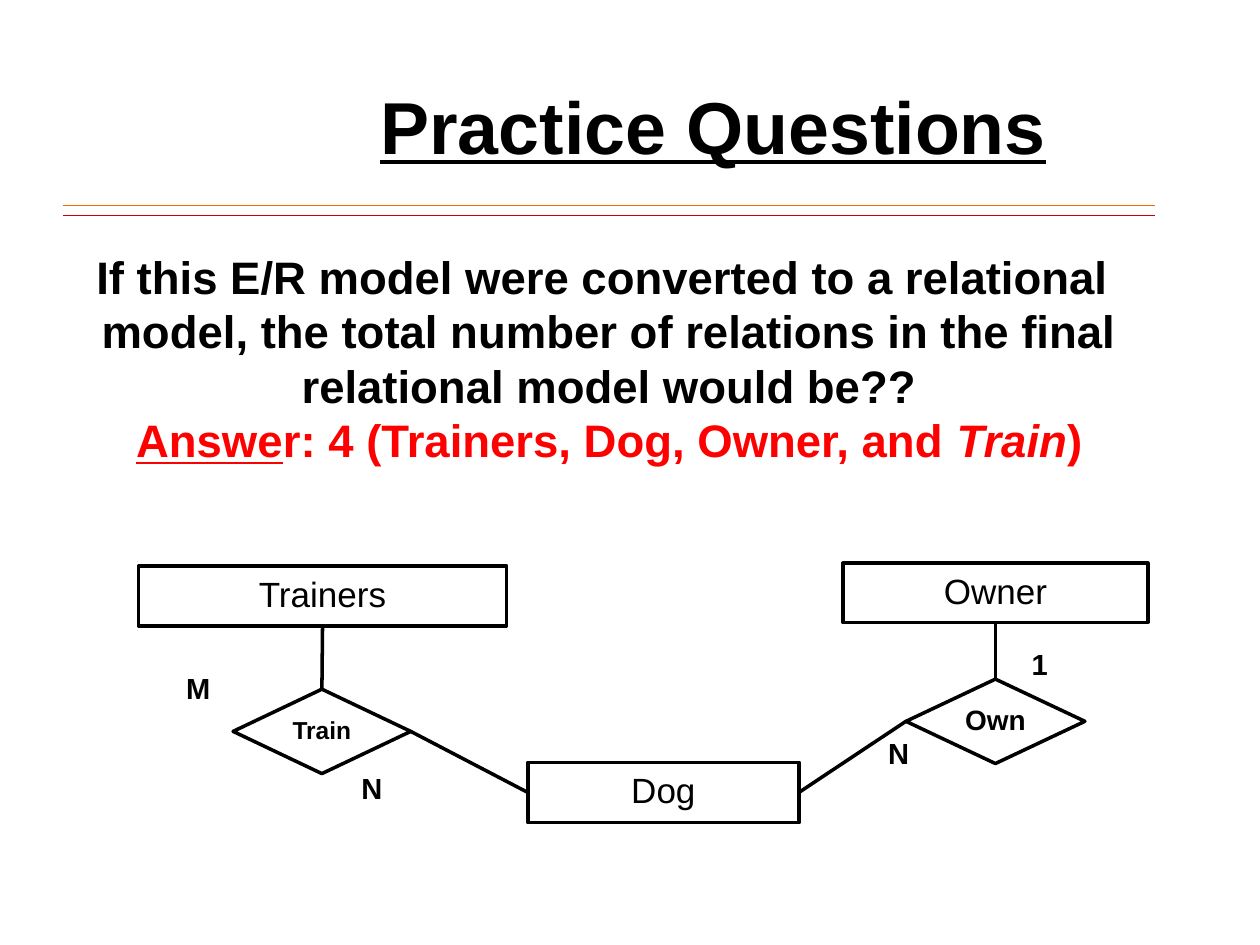
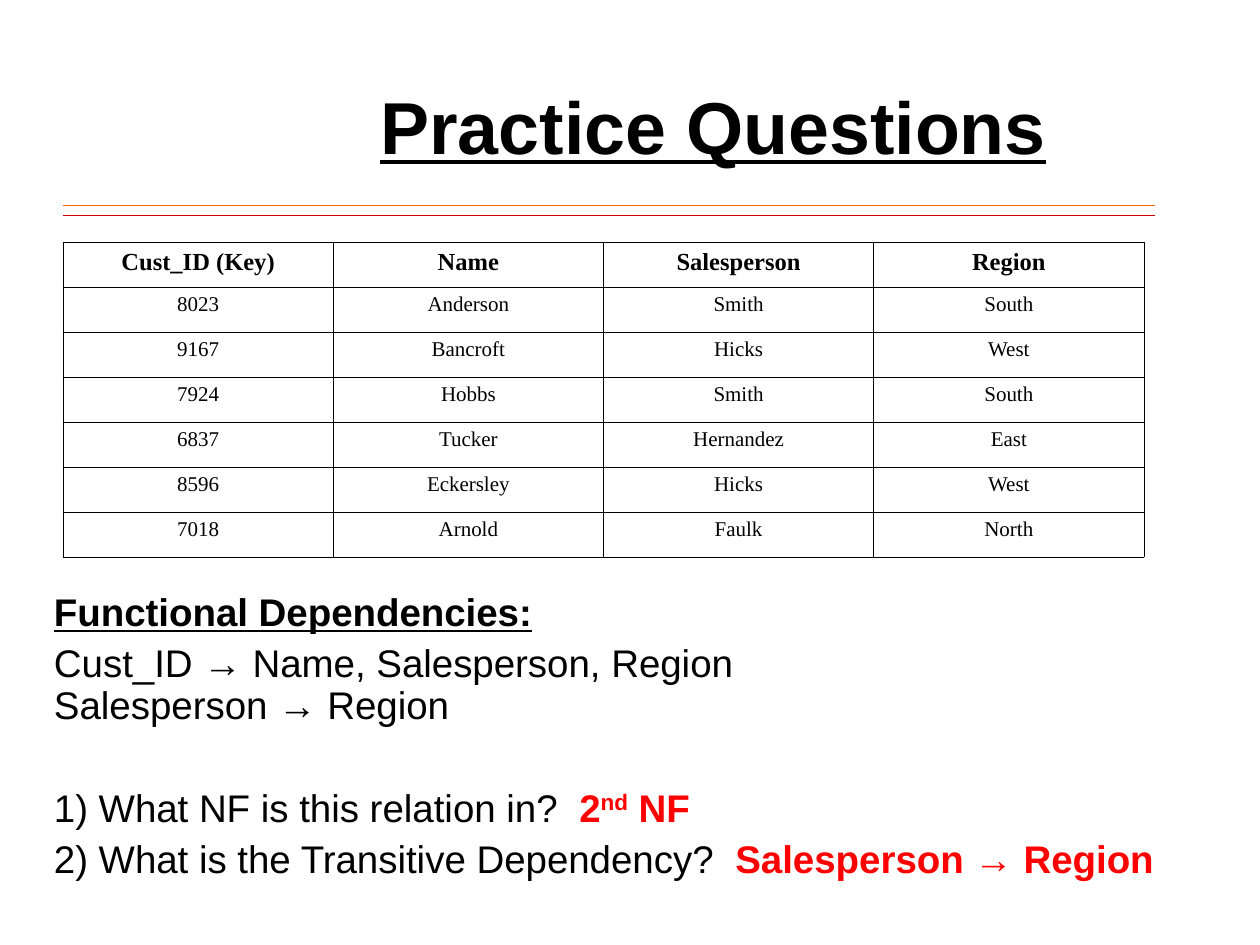
from lxml.etree import SubElement
from pptx import Presentation
from pptx.dml.color import RGBColor
from pptx.enum.shapes import MSO_CONNECTOR, MSO_SHAPE
from pptx.enum.text import MSO_ANCHOR, PP_ALIGN
from pptx.oxml.ns import qn
from pptx.util import Emu, Inches, Pt

SLIDE_WIDTH, SLIDE_HEIGHT = Inches(10), Inches(7.5)
GRID_COLUMNS = 100
CELL = SLIDE_WIDTH / GRID_COLUMNS  # square cells: 100 columns by 75 rows

BLACK, WHITE, RED = "000000", "FFFFFF", "FF0000"
RULES = {17.1: "CC0000", 16.3: "FF6600"}  # row of each rule and its colour
BODY_FONT, TABLE_FONT = "Arial", "Times New Roman"
TOP, LEFT, BOTTOM, RIGHT = range(4)  # connection sites of boxes and diamonds

CUSTOMERS = [
    ("Cust_ID (Key)", "Name", "Salesperson", "Region"),
    ("8023", "Anderson", "Smith", "South"),
    ("9167", "Bancroft", "Hicks", "West"),
    ("7924", "Hobbs", "Smith", "South"),
    ("6837", "Tucker", "Hernandez", "East"),
    ("8596", "Eckersley", "Hicks", "West"),
    ("7018", "Arnold", "Faulk", "North"),
]


def grid(*cells):
    """Turn counts of grid cells into lengths."""
    return [Emu(round(count * CELL)) for count in cells]


def colour(hex_string):
    return RGBColor.from_string(hex_string)


def add_span(para, text, size, font=BODY_FONT, ink=BLACK, bold=False,
             italic=False, underline=False, raised=False):
    span = para.add_run()
    span.text = text
    span.font.size = Pt(size)
    span.font.name = font
    span.font.color.rgb = colour(ink)
    span.font.bold = bold
    span.font.italic = italic
    span.font.underline = underline
    if raised:
        span.font._element.set("baseline", "30000")


def format_para(para, align=PP_ALIGN.LEFT, spacing=1.0, before=0):
    para.alignment = align
    para.line_spacing = spacing
    para.space_before = Pt(before)
    return para


def add_text_box(page, place, anchor=MSO_ANCHOR.TOP):
    frame = page.shapes.add_textbox(*grid(*place)).text_frame
    frame.word_wrap = True
    frame.vertical_anchor = anchor
    return frame


def next_para(frame):
    """Return the empty first paragraph, or a new one once that is used."""
    first = frame.paragraphs[0]
    return frame.add_paragraph() if first.runs else first


def add_line(page, start=(0, 0), end=(0, 0), ink=BLACK, width=2):
    line = page.shapes.add_connector(MSO_CONNECTOR.STRAIGHT, *grid(*start, *end))
    line.line.color.rgb = colour(ink)
    line.line.width = Pt(width)
    SubElement(line._element.spPr, qn("a:effectLst"))
    return line


def add_node(page, kind, place, label, size, bold=False):
    node = page.shapes.add_shape(kind, *grid(*place))
    node.shadow.inherit = False
    node.fill.solid()
    node.fill.fore_color.rgb = colour(WHITE)
    node.line.color.rgb = colour(BLACK)
    node.line.width = Pt(2)
    frame = node.text_frame
    frame.word_wrap = False
    frame.vertical_anchor = MSO_ANCHOR.MIDDLE
    para = format_para(frame.paragraphs[0], PP_ALIGN.CENTER, 0.9)
    add_span(para, label, size, bold=bold)
    return node


def add_entity(page, place, label):
    return add_node(page, MSO_SHAPE.RECTANGLE, place, label, 20)


def add_relationship(page, place, label, size):
    return add_node(page, MSO_SHAPE.DIAMOND, place, label, size, bold=True)


def join(page, first, first_site, second, second_site):
    line = add_line(page)
    line.begin_connect(first, first_site)
    line.end_connect(second, second_site)


def add_cardinality(page, column, row, label):
    frame = add_text_box(page, (column, row, 6, 3.3))
    add_span(format_para(frame.paragraphs[0], spacing=0.7), label, 16.6, bold=True)


def border_cell(cell, width=0.45):
    properties = cell._tc.get_or_add_tcPr()
    for side in ("lnL", "lnR", "lnT", "lnB"):
        edge = SubElement(properties, qn(f"a:{side}"), w=str(Pt(width)))
        fill = SubElement(edge, qn("a:solidFill"))
        SubElement(fill, qn("a:srgbClr"), val=BLACK)


def add_table(page, place, records):
    rows, columns = len(records), len(records[0])
    table = page.shapes.add_table(rows, columns, *grid(*place)).table
    for row, record in enumerate(records):
        for column, value in enumerate(record):
            cell = table.cell(row, column)
            border_cell(cell)
            cell.fill.background()
            header = row == 0
            para = format_para(cell.text_frame.paragraphs[0], PP_ALIGN.CENTER)
            add_span(para, value, 14 if header else 12, TABLE_FONT, bold=header)


def add_page(deck):
    """Add a slide with the shared double rule and title."""
    page = deck.slides.add_slide(deck.slide_layouts[6])
    for row, ink in RULES.items():
        add_line(page, (5, row), (91.7, row), ink, 0.75)
    title = add_text_box(page, (29.2, 6.7, 60, 7.3))
    add_span(format_para(title.paragraphs[0], spacing=0.9),
             "Practice Questions", 42, bold=True, underline=True)
    return page


def add_model_question(page):
    frame = add_text_box(page, (2.5, 19.2, 91.7, 18.4), MSO_ANCHOR.MIDDLE)
    paragraphs = [
        [("If this E/R model were converted to a relational ", {})],
        [("model, the total number of relations in the final "
          "relational model would be??", {})],
        [("Answe", {"ink": RED, "underline": True}),
         ("r: 4 (Trainers, Dog, Owner, and ", {"ink": RED}),
         ("Train", {"ink": RED, "italic": True}),
         (")", {"ink": RED})],
    ]
    for spans in paragraphs:
        para = format_para(next_para(frame), PP_ALIGN.CENTER)
        for text, style in spans:
            add_span(para, text, 26, bold=True, **style)


def add_model_diagram(page):
    trainers = add_entity(page, (11, 44.9, 29.2, 4.8), "Trainers")
    owner = add_entity(page, (66.9, 44.7, 24.2, 4.7), "Owner")
    dog = add_entity(page, (41.9, 60.5, 21.5, 4.8), "Dog")
    train = add_relationship(page, (18.5, 54.7, 14.1, 6.7), "Train", 14)
    own = add_relationship(page, (71.9, 53.9, 14.2, 6.7), "Own", 16)

    join(page, trainers, BOTTOM, train, TOP)
    join(page, train, RIGHT, dog, LEFT)
    join(page, dog, RIGHT, own, LEFT)
    join(page, owner, BOTTOM, own, TOP)

    for column, row, label in [(13.8, 53.5, "M"), (27.7, 61.4, "N"),
                               (80.9, 51.6, "1"), (69.5, 58.6, "N")]:
        add_cardinality(page, column, row, label)


def add_dependencies(page):
    frame = add_text_box(page, (3.3, 46.6, 90.8, 23.9), MSO_ANCHOR.MIDDLE)
    size, gap, wide_gap = 22, 5.5, 35
    answer = {"ink": RED, "bold": True}

    heading = format_para(next_para(frame), spacing=0.9)
    add_span(heading, "Functional Dependencies:", size, bold=True, underline=True)

    rules = format_para(next_para(frame), spacing=0.9, before=gap)
    add_span(rules, "Cust_ID → Name, Salesperson, Region", size)
    rules.add_line_break()
    add_span(rules, "Salesperson → Region", size)

    normal_form = format_para(next_para(frame), spacing=0.9, before=wide_gap)
    add_span(normal_form, "1) What NF is this relation in?  ", size)
    add_span(normal_form, "2", size, **answer)
    add_span(normal_form, "nd", size, raised=True, **answer)
    add_span(normal_form, " NF", size, **answer)

    transitive = format_para(next_para(frame), spacing=0.9, before=gap)
    add_span(transitive, "2) What is the Transitive Dependency?  ", size)
    add_span(transitive, "Salesperson → Region", size, **answer)


def main():
    deck = Presentation()
    deck.slide_width, deck.slide_height = SLIDE_WIDTH, SLIDE_HEIGHT

    model_page = add_page(deck)
    add_model_question(model_page)
    add_model_diagram(model_page)

    table_page = add_page(deck)
    add_table(table_page, (5, 19.2, 85.8, 25), CUSTOMERS)
    add_dependencies(table_page)

    deck.save("out.pptx")


if __name__ == "__main__":
    main()
